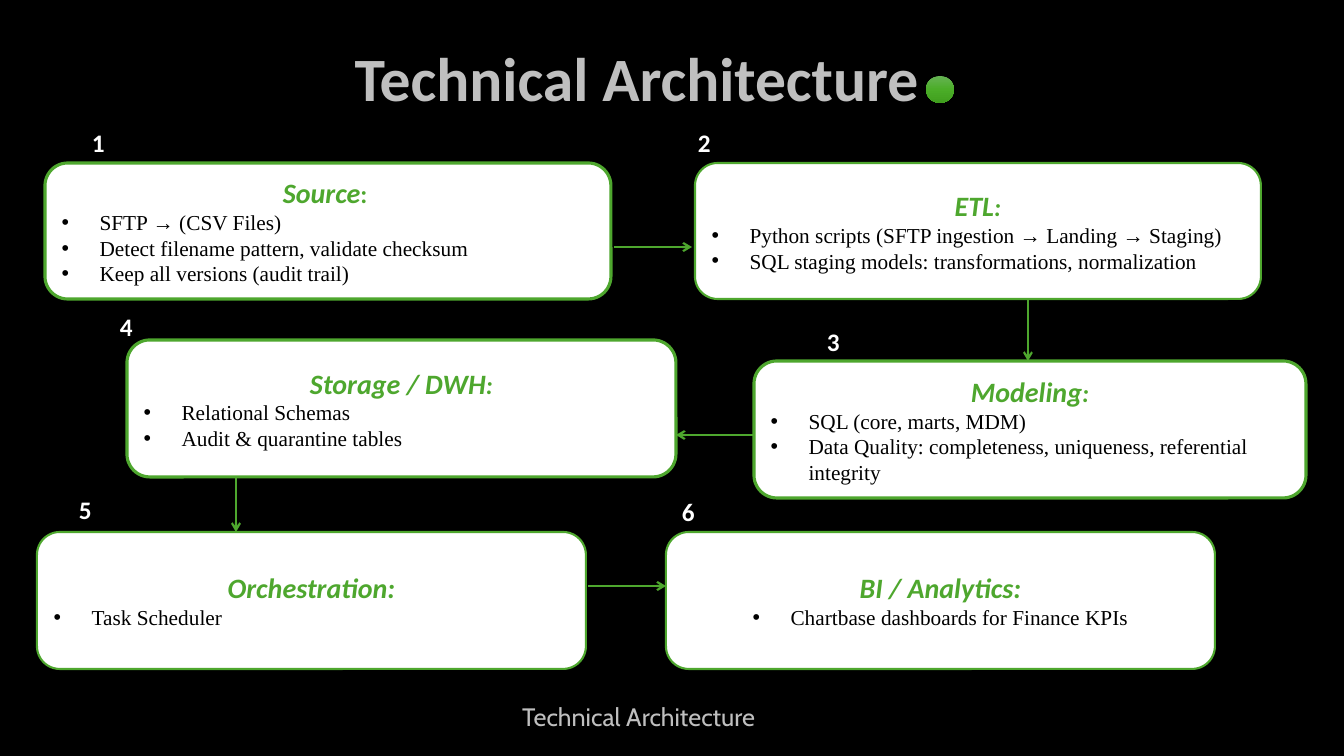
from copy import deepcopy

from lxml import etree
from pptx import Presentation, util as u
from pptx.dml.color import RGBColor
from pptx.enum import shapes, text
from pptx.oxml import ns

PX_PER_INCH = 100.8

BLACK = RGBColor(0x00, 0x00, 0x00)
WHITE = RGBColor(0xFF, 0xFF, 0xFF)
GREY = RGBColor(0xBF, 0xBF, 0xBF)
GREEN = RGBColor(0x4E, 0xA7, 0x2E)
DOT_TOP = RGBColor(0x66, 0xB3, 0x54)
DOT_MIDDLE = RGBColor(0x4B, 0xAD, 0x28)
DOT_BOTTOM = RGBColor(0x40, 0x9F, 0x1E)

LEFT, CENTER = text.PP_ALIGN.LEFT, text.PP_ALIGN.CENTER
INDENT = 38

# Number, its position, box, border width, heading, heading end, bullets
STAGES = [
    ("1", (82, 122), (45, 163, 566, 136), 2.25, "Source", ": ",
     ["SFTP → (CSV Files)", "Detect filename pattern, validate checksum",
      "Keep all versions (audit trail)"]),
    ("2", (688, 122), (695, 163, 566, 136), 1.5, "ETL", ":",
     ["Python scripts (SFTP ingestion → Landing → Staging)",
      "SQL staging models: transformations, normalization"]),
    ("3", (817, 321), (754, 361, 552, 137), 2.25, "Modeling", ":",
     ["SQL (core, marts, MDM)",
      "Data Quality: completeness, uniqueness, referential integrity"]),
    ("4", (110, 306), (127, 340, 549, 137), 2.25, "Storage / DWH", ":",
     ["Relational Schemas", "Audit & quarantine tables"]),
    ("5", (69, 489), (37, 532, 549, 137), 1.5, "Orchestration:", "",
     ["Task Scheduler"]),
    ("6", (672, 491), (666, 532, 549, 137), 1.5, "BI / Analytics:", "",
     ["Chartbase dashboards for Finance KPIs"]),
]

ARROWS = [
    (614, 247, 692, 247),
    (1028, 299, 1028, 361),
    (754, 435, 676, 435),
    (236, 477, 236, 532),
    (588, 586, 666, 586),
]


def px(*lengths):
    return [u.Inches(n / PX_PER_INCH) for n in lengths]


def sub(parent, tag, **attrs):
    return etree.SubElement(parent, ns.qn(tag), attrs)


def style(r, size, color, name="Calibri", bold=False, italic=False):
    f = r.font
    f.size, f.name, f.bold, f.italic = u.Pt(size), name, bold, italic
    f.color.rgb = color


def add_text(s, box, words, size, color, name="Calibri", bold=True,
             align=CENTER, anchor=text.MSO_ANCHOR.MIDDLE):
    tf = s.shapes.add_textbox(*px(*box)).text_frame
    tf.word_wrap = True
    tf.vertical_anchor = anchor
    tf.text = words
    p = tf.paragraphs[0]
    p.alignment = align
    style(p.runs[0], size, color, name, bold)
    return p


def add_bullet(tf, words, align):
    p = tf.add_paragraph()
    p.text = words
    p.alignment = align
    style(p.runs[0], 15.2, BLACK, "Times New Roman")
    pPr = p._p.get_or_add_pPr()
    indent = px(INDENT)[0]
    pPr.set("marL", str(indent))
    pPr.set("indent", str(-indent))
    sub(pPr, "a:buFont", typeface="Arial")
    sub(pPr, "a:buChar", char="•")


def add_stage(s, box, border, heading, ending, bullets, align, upright_ending):
    sp = s.shapes.add_shape(shapes.MSO_SHAPE.ROUNDED_RECTANGLE, *px(*box))
    sp.shadow.inherit = False
    sp.fill.solid()
    sp.fill.fore_color.rgb = WHITE
    sp.line.color.rgb = GREEN
    sp.line.width = u.Pt(border)
    tf = sp.text_frame
    tf.word_wrap = True
    tf.vertical_anchor = text.MSO_ANCHOR.MIDDLE
    tf.text = heading
    p = tf.paragraphs[0]
    p.alignment = CENTER
    style(p.runs[0], 20, GREEN, bold=True, italic=True)
    if ending:
        r = p.add_run()
        r.text = ending
        style(r, 18, GREEN, bold=True, italic=not upright_ending)
    for words in bullets:
        add_bullet(tf, words, align)


def add_arrow(s, ends):
    line = s.shapes.add_connector(shapes.MSO_CONNECTOR.STRAIGHT, *px(*ends))
    line.line.color.rgb = GREEN
    line.line.width = u.Pt(1.5)
    sub(line.line._get_or_add_ln(), "a:tailEnd", type="arrow")
    sub(line._element.spPr, "a:effectLst")


def add_dot(s, box):
    sp = s.shapes.add_shape(shapes.MSO_SHAPE.FLOWCHART_CONNECTOR, *px(*box))
    sp.line.fill.background()
    # Three-stop gradient running downwards
    sp.fill.gradient()
    sp.fill.gradient_angle = 270
    first, last = sp.fill.gradient_stops
    first.color.rgb, last.color.rgb = DOT_TOP, DOT_BOTTOM
    top = sp._element.spPr.find(".//" + ns.qn("a:gs"))
    middle = deepcopy(top)
    middle.set("pos", "50000")
    middle.find(ns.qn("a:srgbClr")).set("val", str(DOT_MIDDLE))
    top.addnext(middle)
    # Soft shadow below
    sp.shadow.inherit = False
    effects = sp._element.spPr.find(ns.qn("a:effectLst"))
    shadow = sub(effects, "a:outerShdw", blurRad=str(u.Pt(4.5)),
                 dist=str(u.Pt(1.5)), dir="5400000", rotWithShape="0")
    sub(sub(shadow, "a:srgbClr", val=str(BLACK)), "a:alpha", val="63000")


def main():
    prs = Presentation()
    prs.slide_width, prs.slide_height = px(1344, 756)
    s = prs.slides.add_slide(prs.slide_layouts[6])
    s.background.fill.solid()
    s.background.fill.fore_color.rgb = BLACK

    # Title
    title = add_text(s, (140, 30, 1008, 103), "Technical Architecture ", 44, GREY)
    title.line_spacing = 0.9

    # Stages and the arrows between them
    for number, _, box, border, heading, ending, bullets in STAGES:
        add_stage(s, box, border, heading, ending, bullets,
                  align=CENTER if number == "6" else LEFT,
                  upright_ending=number == "1")
    for ends in ARROWS:
        add_arrow(s, ends)

    # Stage numbers
    for number, corner, *_ in STAGES:
        add_text(s, (*corner, 34, 40), number, 18, WHITE, align=LEFT,
                 anchor=text.MSO_ANCHOR.TOP)

    # Footer and title dot
    add_text(s, (377, 665, 529, 102), "Technical Architecture ", 18, GREY,
             "Cabin", bold=False)
    add_dot(s, (926, 76, 28, 27))

    prs.save("out.pptx")


if __name__ == "__main__":
    main()
